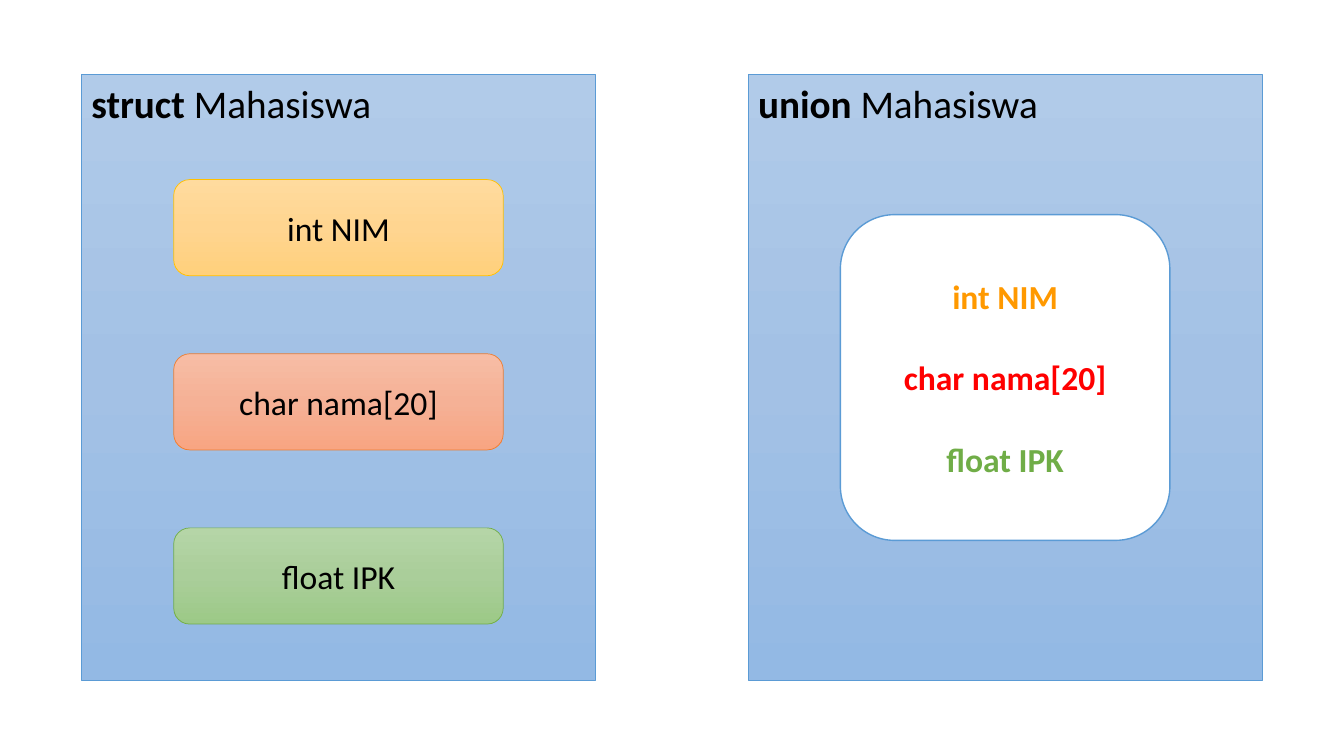
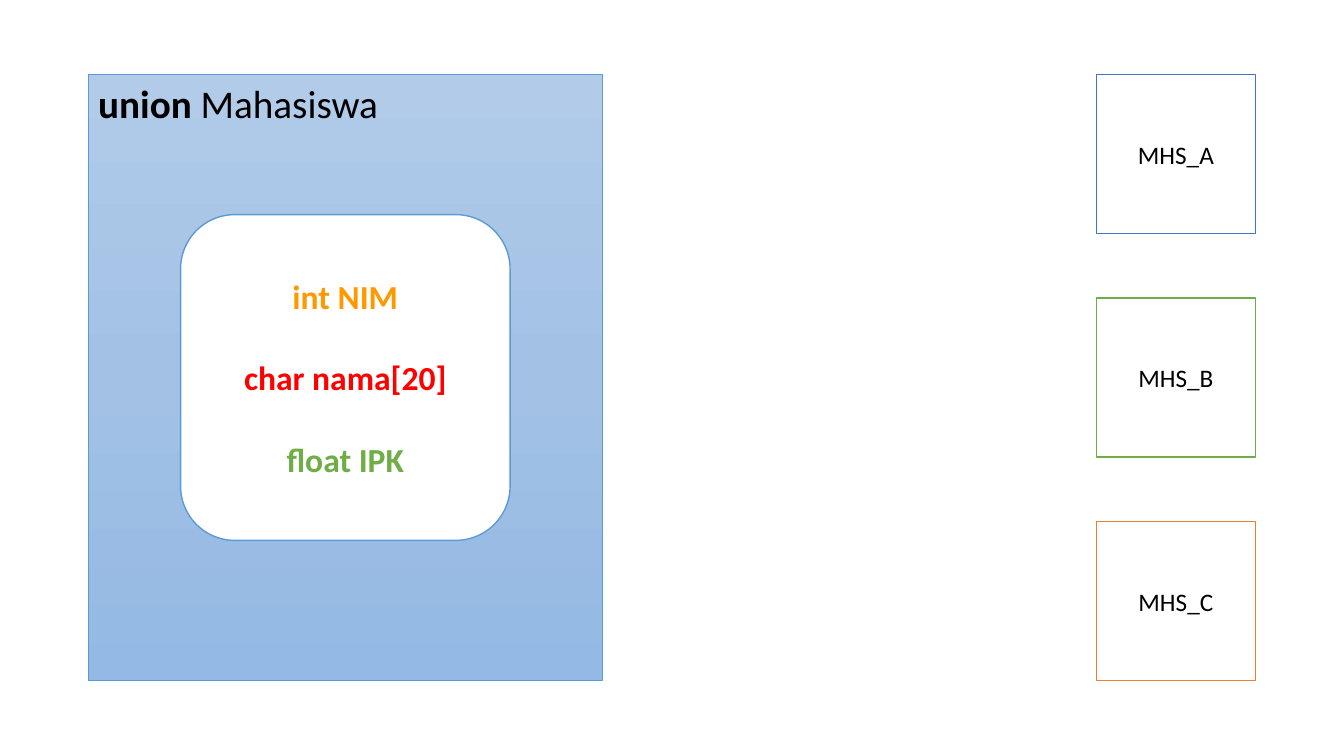
from copy import deepcopy
from dataclasses import dataclass

from pptx import Presentation
from pptx.dml.color import RGBColor
from pptx.enum.shapes import MSO_SHAPE
from pptx.enum.text import MSO_ANCHOR, MSO_AUTO_SIZE, PP_ALIGN
from pptx.oxml.ns import qn
from pptx.util import Pt


@dataclass(frozen=True)
class Theme:
    font: str = "Calibri"
    heading_size: float = 28
    member_size: float = 24
    variable_size: float = 18
    thin: float = 0.5
    regular: float = 1
    black: str = "000000"
    white: str = "FFFFFF"
    blue: str = "5B9BD5"
    indigo: str = "4472C4"
    green: str = "70AD47"
    orange: str = "ED7D31"
    gold: str = "FFC000"
    amber: str = "FF9900"
    red: str = "FF0000"
    blue_shades: tuple = ("B1CBE9", "A3C1E5", "93B9E4")
    gold_shades: tuple = ("FFDB9E", "FFD590", "FFD07C")
    orange_shades: tuple = ("F7BDA5", "F5B196", "F8A582")
    green_shades: tuple = ("B5D5A7", "AACE9A", "9CC987")


THEME = Theme()
PANEL_TOP, PANEL_WIDTH, PANEL_HEIGHT = 53.3, 367.2, 432.7
HEADING_HEIGHT = 41.2
MEMBER_WIDTH, MEMBER_HEIGHT = 235.4, 68.7
MEMBER_INSET = (PANEL_WIDTH - MEMBER_WIDTH) / 2
MEMBER_TOP, MEMBER_STEP = 128.3, 124.4
SHARED_HEIGHT = 232.7
MEMBER_GAP = 29.3
VARIABLE_LEFT, VARIABLE_SIDE = 783.2, 113.4

MEMBERS = (
    ("int NIM", THEME.gold_shades, THEME.gold, THEME.amber),
    ("char nama[20]", THEME.orange_shades, THEME.orange, THEME.red),
    ("float IPK", THEME.green_shades, THEME.green, THEME.green),
)
VARIABLES = (
    ("MHS_A", THEME.indigo),
    ("MHS_B", THEME.green),
    ("MHS_C", THEME.orange),
)


def rgb(color):
    return RGBColor.from_string(color)


def fill_gradient(shape, shades):
    shape.fill.gradient()
    shape.fill.gradient_angle = 270
    stop_list = shape.element.spPr.find(qn("a:gradFill")).find(qn("a:gsLst"))
    stop_list.insert(1, deepcopy(stop_list[0]))
    for stop, shade, position in zip(shape.fill.gradient_stops, shades, (0, 0.5, 1)):
        stop.position = position
        stop.color.rgb = rgb(shade)


def add_box(shapes, kind, bounds, fill, outline, weight):
    box = shapes.add_shape(kind, *map(Pt, bounds))
    box.shadow.inherit = False
    if isinstance(fill, tuple):
        fill_gradient(box, fill)
    else:
        box.fill.solid()
        box.fill.fore_color.rgb = rgb(fill)
    box.line.color.rgb = rgb(outline)
    box.line.width = Pt(weight)
    return box


def style_font(font, size, color, bold=None):
    font.name = THEME.font
    font.size = Pt(size)
    font.color.rgb = rgb(color)
    font.bold = bold


def write_lines(box, lines, size, bold=False, gap=0):
    frame = box.text_frame
    frame.word_wrap = True
    frame.vertical_anchor = MSO_ANCHOR.MIDDLE
    for index, (text, color) in enumerate(lines):
        line = frame.add_paragraph() if index else frame.paragraphs[0]
        line.text = text
        line.alignment = PP_ALIGN.CENTER
        line.space_before = Pt(gap if index else 0)
        style_font(line.font, size, color, bold)


def add_panel(slide, left, keyword):
    shapes = slide.shapes.add_group_shape().shapes
    add_box(shapes, MSO_SHAPE.RECTANGLE, (left, PANEL_TOP, PANEL_WIDTH, PANEL_HEIGHT),
            THEME.blue_shades, THEME.blue, THEME.thin)
    heading = shapes.add_textbox(*map(Pt, (left, PANEL_TOP, PANEL_WIDTH, HEADING_HEIGHT)))
    frame = heading.text_frame
    frame.word_wrap = True
    frame.auto_size = MSO_AUTO_SIZE.SHAPE_TO_FIT_TEXT
    line = frame.paragraphs[0]
    style_font(line.font, THEME.heading_size, THEME.black)
    for text, bold in ((keyword + " ", True), ("Mahasiswa", False)):
        run = line.add_run()
        run.text = text
        run.font.bold = bold
    return shapes


def add_struct(slide, left):
    shapes = add_panel(slide, left, "struct")
    for index, (name, shades, outline, _) in enumerate(MEMBERS):
        bounds = (left + MEMBER_INSET, MEMBER_TOP + index * MEMBER_STEP,
                  MEMBER_WIDTH, MEMBER_HEIGHT)
        member = add_box(shapes, MSO_SHAPE.ROUNDED_RECTANGLE, bounds,
                         shades, outline, THEME.thin)
        write_lines(member, [(name, THEME.black)], THEME.member_size)


def add_union(slide, left):
    shapes = add_panel(slide, left, "union")
    top = PANEL_TOP + (PANEL_HEIGHT - SHARED_HEIGHT) / 2
    shared = add_box(shapes, MSO_SHAPE.ROUNDED_RECTANGLE,
                     (left + MEMBER_INSET, top, MEMBER_WIDTH, SHARED_HEIGHT),
                     THEME.white, THEME.blue, THEME.regular)
    write_lines(shared, [(name, color) for name, _, _, color in MEMBERS],
                THEME.member_size, bold=True, gap=MEMBER_GAP)


def add_variables(slide):
    step = (PANEL_HEIGHT - VARIABLE_SIDE) / (len(VARIABLES) - 1)
    for index, (name, outline) in enumerate(VARIABLES):
        bounds = (VARIABLE_LEFT, PANEL_TOP + index * step, VARIABLE_SIDE, VARIABLE_SIDE)
        variable = add_box(slide.shapes, MSO_SHAPE.RECTANGLE, bounds,
                           THEME.white, outline, THEME.regular)
        write_lines(variable, [(name, THEME.black)], THEME.variable_size)


def main():
    deck = Presentation()
    deck.slide_width, deck.slide_height = Pt(960), Pt(540)
    blank = deck.slide_layouts[6]

    comparison = deck.slides.add_slide(blank)
    add_struct(comparison, 58.2)
    add_union(comparison, 534.4)

    instances = deck.slides.add_slide(blank)
    add_union(instances, 63.1)
    add_variables(instances)

    deck.save("out.pptx")


main()
